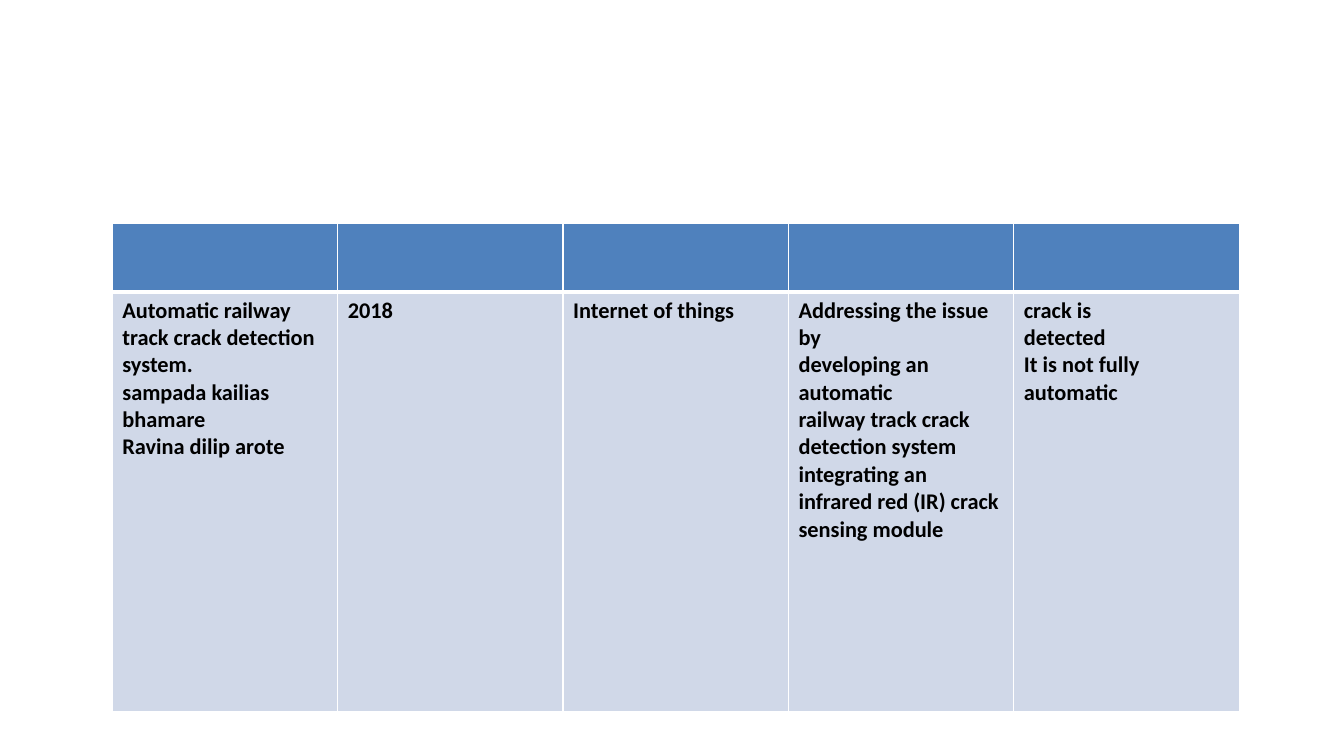
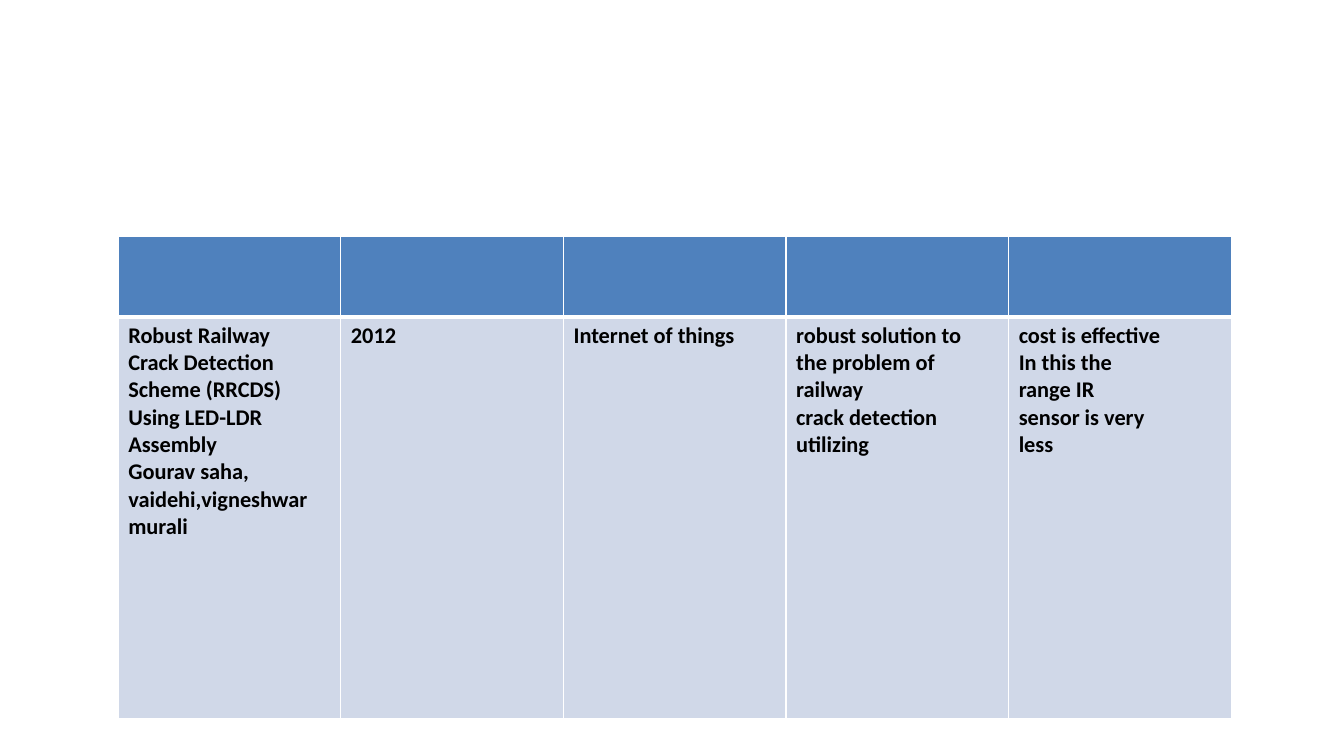
import pptx
import pptx.dml.color
import pptx.util
from lxml import etree
from pptx.oxml.ns import qn

Cm = pptx.util.Cm
Pt = pptx.util.Pt
RGBColor = pptx.dml.color.RGBColor

# Shared look
HEADER_BLUE = RGBColor(0x4F, 0x81, 0xBD)
BODY_BLUE = RGBColor(0xD0, 0xD8, 0xE8)
BLACK = RGBColor(0x00, 0x00, 0x00)
WHITE = RGBColor(0xFF, 0xFF, 0xFF)
FONT = "Calibri"
TEXT_SIZE = Pt(16)
THIN = Pt(1)
THICK = Pt(3)

# One surveyed paper per slide: title and authors, year, field, approach, remarks
papers = [
    {
        "left": Cm(2.83), "top": Cm(5.62), "column": Cm(5.68),
        "rows": [Cm(1.73), Cm(10.57)],
        "entries": [
            "Automatic railway\ntrack crack detection\nsystem.\n"
            "sampada kailias\nbhamare\nRavina dilip arote",
            "2018",
            "Internet of things",
            "Addressing the issue by\ndeveloping an\nautomatic\n"
            "railway track crack\ndetection system\nintegrating an\n"
            "infrared red (IR) crack\nsensing module",
            "crack is\ndetected\nIt is not fully\nautomatic",
        ],
    },
    {
        "left": Cm(2.98), "top": Cm(5.95), "column": Cm(5.61),
        "rows": [Cm(2.03), Cm(10.13)],
        "entries": [
            "Robust Railway\nCrack Detection\nScheme (RRCDS)\nUsing LED-LDR\n"
            "Assembly\nGourav saha,\nvaidehi,vigneshwar\nmurali",
            "2012",
            "Internet of things",
            "robust solution to\nthe problem of railway\ncrack detection utilizing",
            "cost is effective\nIn this the\nrange IR\nsensor is very\nless",
        ],
    },
]


def style_cell(cell, fill_color, top_width, bottom_width):
    """Fill a cell and give it white borders."""
    cell.fill.solid()
    cell.fill.fore_color.rgb = fill_color
    properties = cell._tc.get_or_add_tcPr()
    widths = {"a:lnL": THIN, "a:lnR": THIN, "a:lnT": top_width, "a:lnB": bottom_width}
    # Borders have to come before the fill
    for position, (side, width) in enumerate(widths.items()):
        border = etree.Element(qn(side), w=str(int(width)))
        border_fill = etree.SubElement(border, qn("a:solidFill"))
        etree.SubElement(border_fill, qn("a:srgbClr"), val=str(WHITE))
        properties.insert(position, border)


deck = pptx.Presentation()
deck.slide_width = Cm(33.87)
deck.slide_height = Cm(19.05)
blank_layout = deck.slide_layouts[6]

for paper in papers:
    slide = deck.slides.add_slide(blank_layout)
    entries = paper["entries"]

    # Table grid
    survey = slide.shapes.add_table(
        2, len(entries), paper["left"], paper["top"],
        paper["column"] * len(entries), sum(paper["rows"]),
    ).table
    for row, height in zip(survey.rows, paper["rows"]):
        row.height = height

    for index, entry in enumerate(entries):
        survey.columns[index].width = paper["column"]

        # Empty header band
        style_cell(survey.cell(0, index), HEADER_BLUE, THIN, THICK)

        # Paper details
        detail = survey.cell(1, index)
        style_cell(detail, BODY_BLUE, THICK, THIN)
        detail.text_frame.text = entry
        for paragraph in detail.text_frame.paragraphs:
            for run in paragraph.runs:
                run.font.name = FONT
                run.font.size = TEXT_SIZE
                run.font.bold = True
                run.font.color.rgb = BLACK

deck.save("out.pptx")
